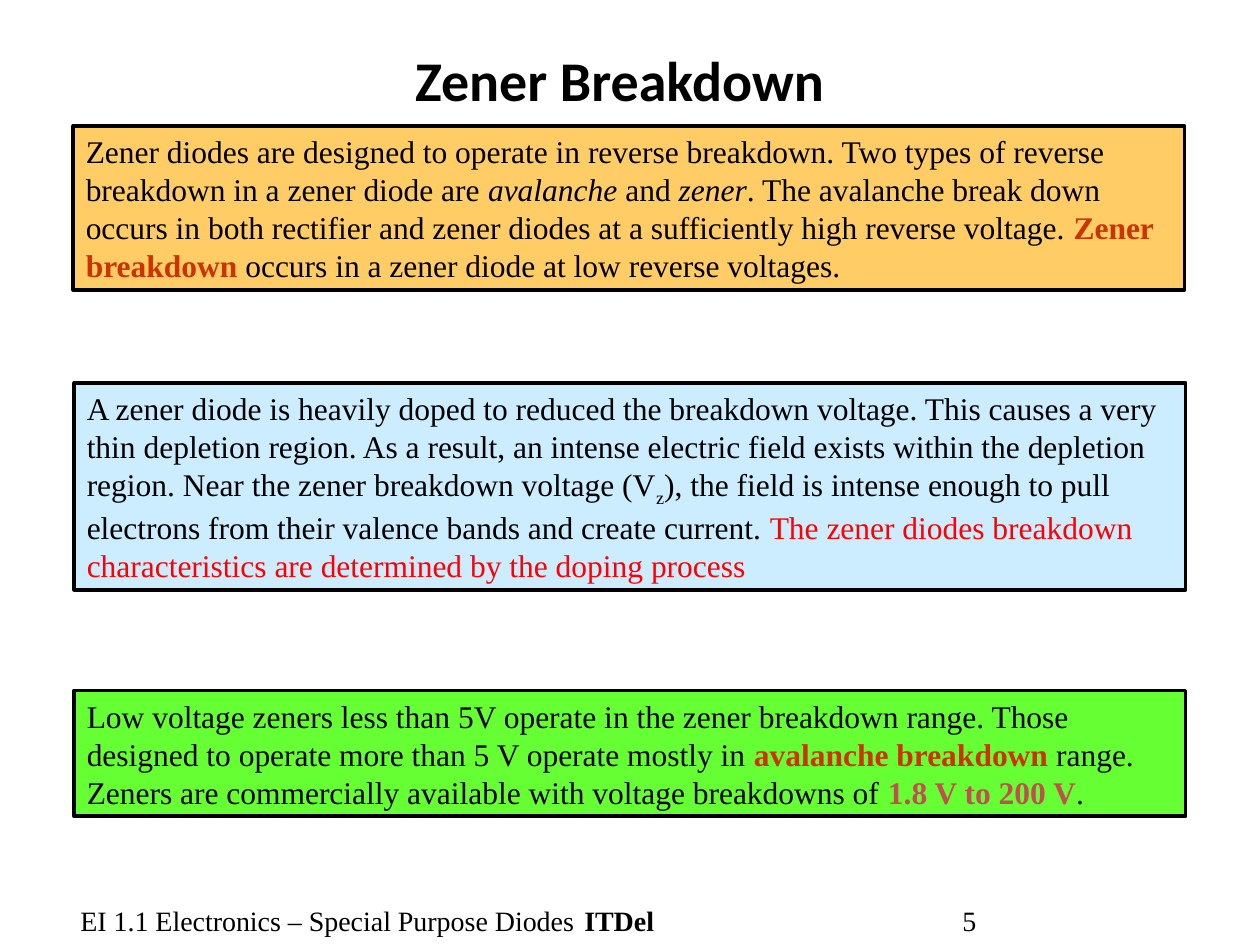
from pptx import Presentation
from pptx.dml.color import RGBColor
from pptx.enum.shapes import MSO_SHAPE as Shape
from pptx.enum.text import MSO_ANCHOR as Anchor, MSO_AUTO_SIZE as AutoSize, PP_ALIGN as Align
from pptx.oxml.ns import qn
from pptx.util import Cm, Inches, Pt
from lxml.etree import SubElement

BLACK = RGBColor(0x00, 0x00, 0x00)
ORANGE = RGBColor(0xFF, 0xCC, 0x66)
PALE_BLUE = RGBColor(0xCC, 0xEC, 0xFF)
GREEN = RGBColor(0x66, 0xFF, 0x33)
RUST = RGBColor(0xCC, 0x33, 0x00)
RED = RGBColor(0xFF, 0x00, 0x00)
BRICK = RGBColor(0xC0, 0x50, 0x4D)

PLAIN = {}
BOLD = {"bold": True}
ITALIC = {"italic": True}
SUBSCRIPT = {"baseline": -25000}
RUST_BOLD = {"bold": True, "color": RUST}
BRICK_BOLD = {"bold": True, "color": BRICK}
RED_TEXT = {"color": RED}


class SlideBuilder:
    body_font = {"name": "Times New Roman", "size": Pt(18)}
    title_font = {"name": "Calibri", "size": Pt(32), "bold": True}
    footer_font = {"name": "Times New Roman", "size": Pt(16)}
    frame_format = {
        "margin_left": Cm(0.25), "margin_right": Cm(0.25),
        "margin_top": Cm(0.13), "margin_bottom": Cm(0.13),
    }

    def __init__(self, presentation):
        self.slide = presentation.slides.add_slide(presentation.slide_layouts[6])

    def fill_text(self, shape, runs, font, align=Align.LEFT, tab_count=0, **frame_format):
        frame = shape.text_frame
        for name, value in {**self.frame_format, **frame_format}.items():
            setattr(frame, name, value)
        paragraph = frame.paragraphs[0]
        paragraph.alignment = align
        if tab_count:
            tabs = SubElement(paragraph._p.get_or_add_pPr(), qn("a:tabLst"))
            for index in range(tab_count):
                SubElement(tabs, qn("a:tab"), pos=str(Inches(index)), algn="l")
        for text, changes in runs:
            self.add_run(paragraph, text, {**font, **changes})

    def add_run(self, paragraph, text, run_format):
        run = paragraph.add_run()
        run.text = text
        run.font.color.rgb = run_format.pop("color", BLACK)
        baseline = run_format.pop("baseline", None)
        if baseline:
            run._r.get_or_add_rPr().set("baseline", str(baseline))
        for name, value in run_format.items():
            setattr(run.font, name, value)

    def title(self, text, left, top, width, height):
        box = self.slide.shapes.add_textbox(left, top, width, height)
        self.fill_text(box, [(text, PLAIN)], self.title_font, Align.CENTER,
                       word_wrap=True, vertical_anchor=Anchor.MIDDLE)

    def panel(self, runs, fill, left, top, width, height):
        shape = self.slide.shapes.add_shape(Shape.RECTANGLE, left, top, width, height)
        shape.shadow.inherit = False
        shape.fill.solid()
        shape.fill.fore_color.rgb = fill
        shape.line.color.rgb = BLACK
        shape.line.width = Pt(2.25)
        self.fill_text(shape, runs, self.body_font, word_wrap=True,
                       vertical_anchor=Anchor.TOP, auto_size=AutoSize.SHAPE_TO_FIT_TEXT)

    def footer(self, runs, left, top, width, height):
        box = self.slide.shapes.add_textbox(left, top, width, height)
        self.fill_text(box, runs, self.footer_font, tab_count=8, word_wrap=False,
                       auto_size=AutoSize.SHAPE_TO_FIT_TEXT)


def main():
    presentation = Presentation()
    presentation.slide_width = Cm(25.4)
    presentation.slide_height = Cm(19.05)
    builder = SlideBuilder(presentation)

    builder.title("Zener Breakdown", Cm(1.7), Cm(0), Cm(21.59), Cm(3.18))

    breakdown_types = [
        ("Zener diodes are designed to operate in reverse breakdown. Two types of "
         "reverse breakdown in a zener diode are ", PLAIN),
        ("avalanche", ITALIC),
        (" and ", PLAIN),
        ("zener", ITALIC),
        (". The avalanche break down occurs in both rectifier and zener diodes at a "
         "sufficiently high reverse voltage. ", PLAIN),
        ("Zener breakdown", RUST_BOLD),
        (" occurs in a zener diode at low reverse voltages.", PLAIN),
    ]
    doping = [
        ("A zener diode is heavily doped to reduced the breakdown voltage. This causes "
         "a very thin depletion region. As a result, an intense electric field exists "
         "within the depletion region. Near the zener breakdown voltage (V", PLAIN),
        ("z", SUBSCRIPT),
        ("), the field is intense enough to pull electrons from their valence bands "
         "and create current. ", PLAIN),
        ("The zener diodes breakdown characteristics are determined by the doping "
         "process", RED_TEXT),
    ]
    voltage_ranges = [
        ("Low voltage zeners less than 5V operate in the zener breakdown range. Those "
         "designed to operate more than 5 V operate mostly in ", PLAIN),
        ("avalanche breakdown", RUST_BOLD),
        (" range. Zeners are commercially available with voltage breakdowns of ", PLAIN),
        ("1.8 V to 200 V", BRICK_BOLD),
        (".", PLAIN),
    ]
    for runs, fill, left, top, height in (
        (breakdown_types, ORANGE, 1.48, 2.54, 3.3),
        (doping, PALE_BLUE, 1.5, 7.72, 4.17),
        (voltage_ranges, GREEN, 1.5, 13.92, 2.54),
    ):
        builder.panel(runs, fill, Cm(left), Cm(top), Cm(22.4), Cm(height))

    builder.footer(
        [("EI 1.1 Electronics – Special Purpose Diodes\t", PLAIN),
         ("ITDel\t\t\t", BOLD),
         ("5", PLAIN)],
        Cm(1.37), Cm(18.08), Cm(18.57), Cm(0.94))

    presentation.save("out.pptx")


if __name__ == "__main__":
    main()
